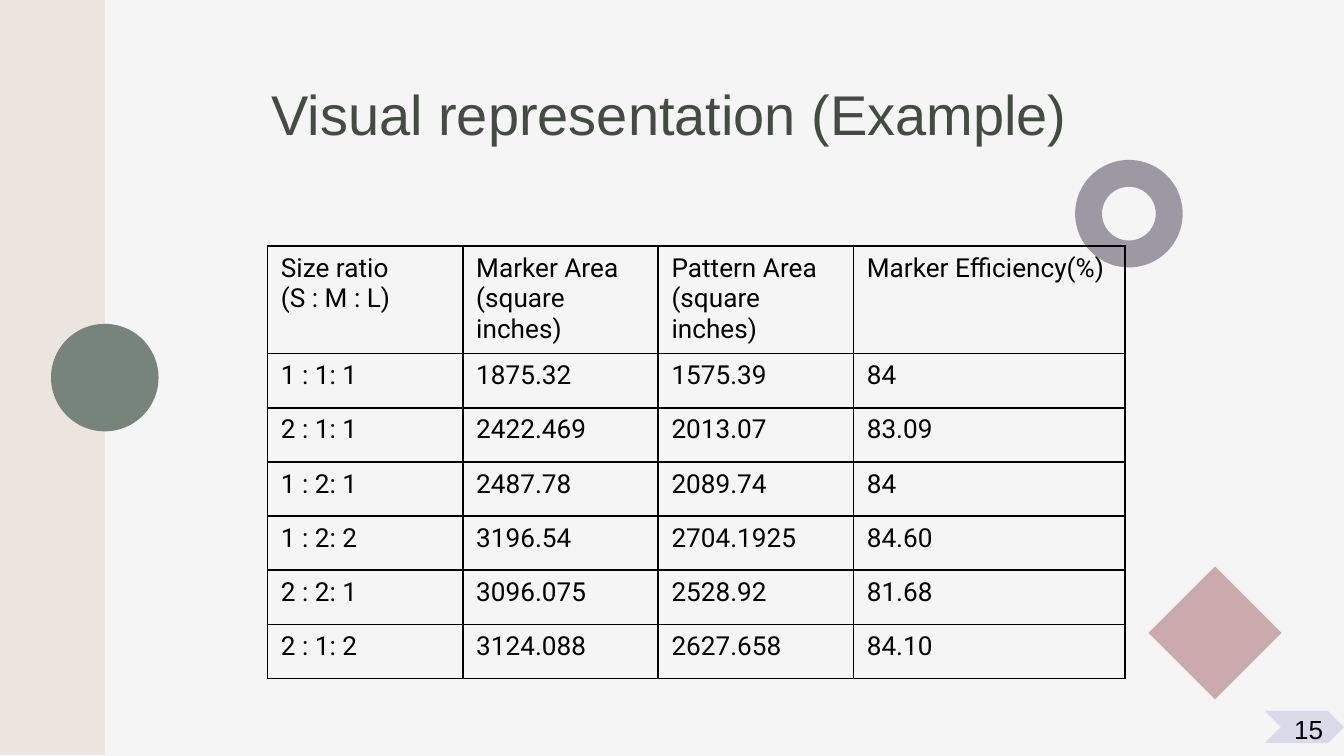
from lxml.etree import SubElement
from pptx import Presentation
from pptx.dml.color import RGBColor
from pptx.enum.shapes import MSO_SHAPE
from pptx.enum.text import MSO_ANCHOR, MSO_AUTO_SIZE, PP_ALIGN
from pptx.oxml.ns import qn
from pptx.util import Inches, Pt

WIDE = 10
HIGH = WIDE * 9 / 16

HUES = {"back": "F5F5F5", "band": "ECE4DF", "title": "434B43", "disc": "77847B",
        "gem": "CCABAF", "ring": "9C99A2", "tag": "DAD9E9", "ink": "000000"}

SHAPES = [
    (MSO_SHAPE.RECTANGLE, "band", (-0.01, -0.01, 0.79, HIGH), {}),
    (MSO_SHAPE.OVAL, "disc", (0.38, 2.41, 0.8, 0.8), {}),
    (MSO_SHAPE.RECTANGLE, "gem", (8.69, 4.36, 0.7, 0.7), {"rotation": 45}),
    (MSO_SHAPE.DONUT, "ring", (8, 1.19, 0.8, 0.8), {}),
    (MSO_SHAPE.CHEVRON, "tag", (9.41, 5.29, 0.59, 0.24), {}),
]

ROWS = [
    ("Size ratio\n(S : M : L)", "Marker Area\n(square inches)",
     "Pattern Area\n(square inches)", "Marker Efficiency(%)"),
    ("1 : 1: 1", "1875.32", "1575.39", "84"),
    ("2 : 1: 1", "2422.469", "2013.07", "83.09"),
    ("1 : 2: 1", "2487.78", "2089.74", "84"),
    ("1 : 2: 2", "3196.54", "2704.1925", "84.60"),
    ("2 : 2: 1", "3096.075", "2528.92", "81.68"),
    ("2 : 1: 2", "3124.088", "2627.658", "84.10"),
]
GRID = (1.99, 1.83, 6.38, 3.22)
LAST = 2.02
HEAD = 0.8
WIDTHS = [(GRID[2] - LAST) / 3] * 3 + [LAST]
HEIGHTS = [HEAD] + [(GRID[3] - HEAD) / 6] * 6


def color(key):
    """Return the named colour."""
    return RGBColor.from_string(HUES[key])


def apply(item, values):
    """Set each attribute in the dict on the item."""
    for name, value in values.items():
        setattr(item, name, value)


def write(frame, text, face, size, hue):
    """Fill a text frame and style its paragraphs."""
    frame.text = text
    for para in frame.paragraphs:
        apply(para.font, {"name": face, "size": Pt(size)})
        para.font.color.rgb = color(hue)


def add_shape(slide, kind, hue, box, props):
    """Add a flat shape without outline."""
    shape = slide.shapes.add_shape(kind, *map(Inches, box))
    shape.shadow.inherit = False
    shape.fill.solid()
    shape.fill.fore_color.rgb = color(hue)
    shape.line.fill.background()
    apply(shape, props)


def set_title(slide, text, box):
    """Place and format the title placeholder."""
    title = slide.shapes.title
    apply(title, dict(zip(("left", "top", "width", "height"), map(Inches, box))))
    frame = title.text_frame
    write(frame, text, "Arial", 30, "title")
    apply(frame, {"word_wrap": True, "auto_size": MSO_AUTO_SIZE.NONE,
                  "vertical_anchor": MSO_ANCHOR.TOP,
                  "margin_left": Inches(0.1), "margin_right": Inches(0.1),
                  "margin_top": Inches(0.1), "margin_bottom": Inches(0.1)})
    frame.paragraphs[0].alignment = PP_ALIGN.CENTER


def add_label(slide, text, box):
    """Add the page number."""
    frame = slide.shapes.add_textbox(*map(Inches, box)).text_frame
    apply(frame, {"word_wrap": True, "auto_size": MSO_AUTO_SIZE.SHAPE_TO_FIT_TEXT})
    write(frame, text, "Arial", 14, "ink")


def set_edges(cell):
    """Draw a thin line on all four sides of a cell."""
    props = cell._tc.get_or_add_tcPr()
    for spot, side in enumerate(("lnL", "lnR", "lnT", "lnB")):
        line = props.makeelement(qn(f"a:{side}"), {"w": str(Pt(1))})
        fill = SubElement(line, qn("a:solidFill"))
        SubElement(fill, qn("a:srgbClr"), val=HUES["ink"])
        props.insert(spot, line)


def add_grid(slide):
    """Add the table of marker efficiency."""
    box = map(Inches, GRID)
    table = slide.shapes.add_table(len(ROWS), len(WIDTHS), *box).table
    apply(table, {"first_row": False, "horz_banding": False})
    for col, width in zip(table.columns, WIDTHS):
        col.width = Inches(width)
    for row, height, texts in zip(table.rows, HEIGHTS, ROWS):
        row.height = Inches(height)
        for cell, text in zip(row.cells, texts):
            write(cell.text_frame, text, "Roboto", 14, "ink")
            cell.fill.background()
            set_edges(cell)


def main():
    """Build and save the slide."""
    deck = Presentation()
    apply(deck, {"slide_width": Inches(WIDE), "slide_height": Inches(HIGH)})
    slide = deck.slides.add_slide(deck.slide_layouts[5])
    slide.background.fill.solid()
    slide.background.fill.fore_color.rgb = color("back")
    set_title(slide, "Visual representation (Example)", (1.41, 0.49, 7.14, 0.63))
    for shape in SHAPES:
        add_shape(slide, *shape)
    add_label(slide, "15", (9.53, 5.26, 0.48, 0.34))
    add_grid(slide)
    deck.save("out.pptx")


if __name__ == "__main__":
    main()
